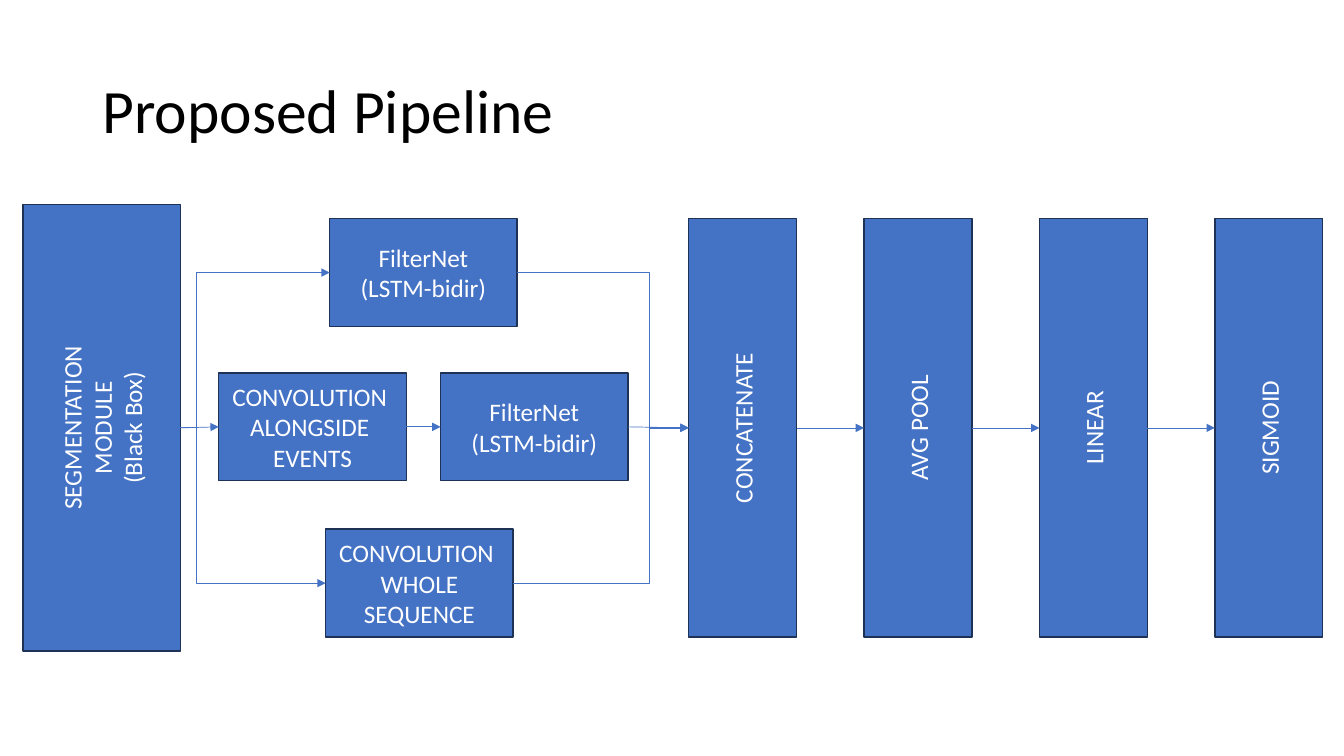
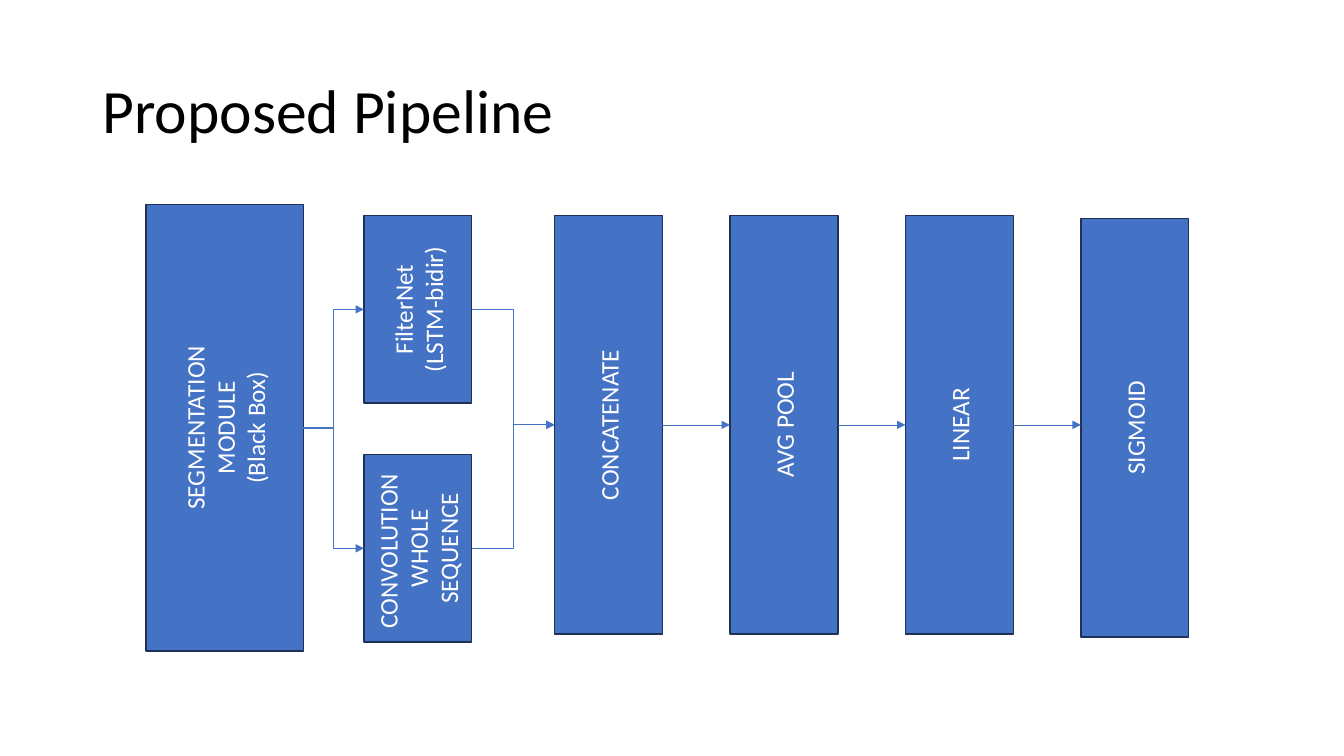
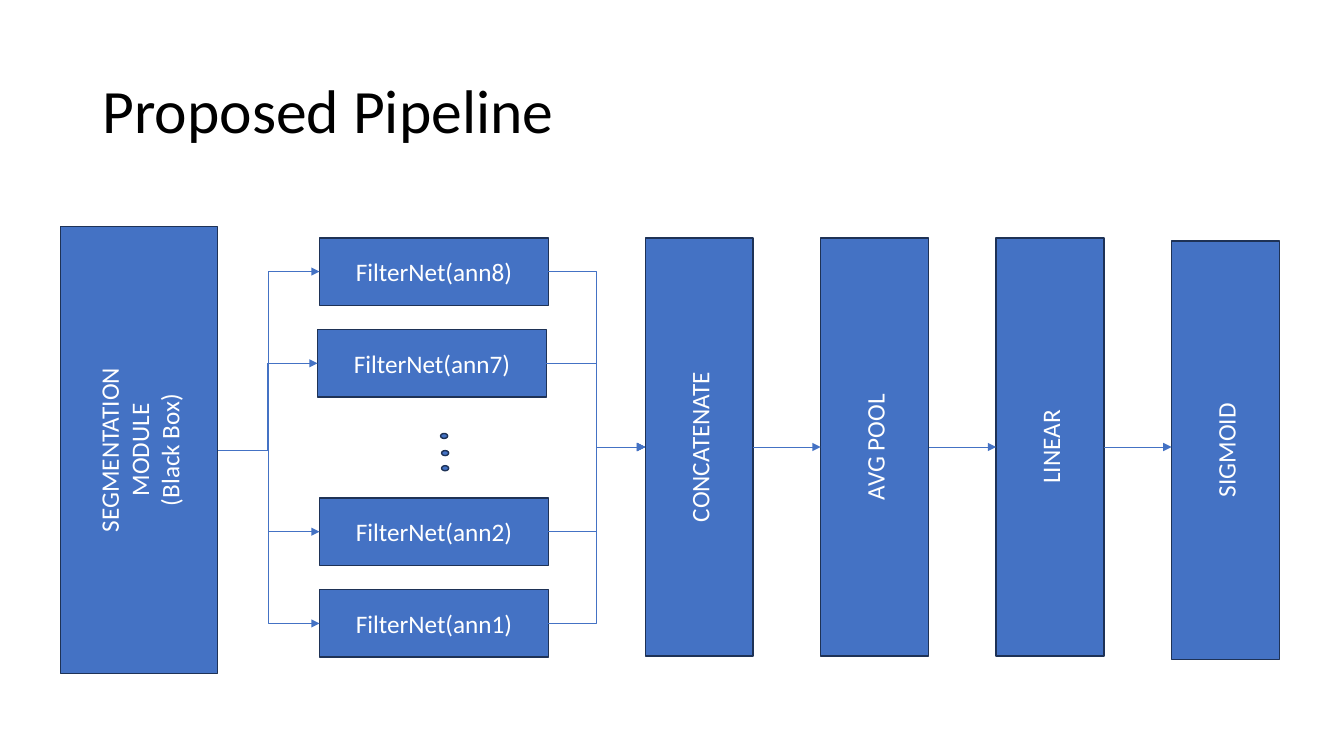
import pptx
import pptx.dml.color
import pptx.enum.shapes
import pptx.enum.text
import pptx.oxml
import pptx.oxml.ns
import pptx.util
from pptx.util import Inches

SHAPES = pptx.enum.shapes.MSO_SHAPE
CONNECTORS = pptx.enum.shapes.MSO_CONNECTOR
CENTER = pptx.enum.text.PP_ALIGN.CENTER
MIDDLE = pptx.enum.text.MSO_ANCHOR.MIDDLE

BLUE, NAVY, WHITE, BLACK = "4472C4", "1E3256", "FFFFFF", "000000"
TITLE_FONT = {"name": "Calibri", "size": pptx.util.Pt(44)}
BOX_FONT = {"name": "Calibri", "size": pptx.util.Pt(18)}
FRAME = {"word_wrap": True, "vertical_anchor": MIDDLE}

TITLE = "Proposed Pipeline"
TITLE_AREA = (0.92, 0.4, 11.5, 1.45)
SEGMENTATION = ["SEGMENTATION\nMODULE", "(Black Box)"]
FILTER_NET = ["FilterNet", "(LSTM-bidir)"]
WHOLE = ["CONVOLUTION ", "WHOLE SEQUENCE"]
ALONGSIDE = ["CONVOLUTION ", "ALONGSIDE ", "EVENTS"]
STAGES = ["CONCATENATE", "AVG POOL", "LINEAR", "SIGMOID"]

SEGMENTATION_SIZE = (1.56, 4.43)
STAGE_SIZE = (1.07, 4.15)
STAGE_PITCH = 1.74
RIGHT_SIDE, LEFT_SIDE = 3, 1
LEVEL_TOLERANCE = Inches(0.02)

# Each branch is a chain of (left, top, paragraphs) between the segmentation
# module and the stages; bends are the x of the elbows, None for halfway.
SLIDES = [
    {
        "segmentation": (0.23, 2.03),
        "stages": (6.83, 2.17),
        "sigmoid_drop": 0,
        "branch_size": (1.86, 1.07),
        "upright_branches": False,
        "bends": (1.95, 6.44),
        "branches": [
            [(3.27, 2.17, FILTER_NET)],
            [(2.17, 3.7, ALONGSIDE), (4.37, 3.7, FILTER_NET)],
            [(3.23, 5.25, WHOLE)],
        ],
        "dots": [],
    },
    {
        "segmentation": (1.45, 2.03),
        "stages": (5.5, 2.14),
        "sigmoid_drop": 0.03,
        "branch_size": (1.07, 1.86),
        "upright_branches": True,
        "bends": (None, None),
        "branches": [[(3.61, 2.14, FILTER_NET)], [(3.61, 4.51, WHOLE)]],
        "dots": [],
    },
    {
        "segmentation": (0.6, 2.25),
        "stages": (6.4, 2.36),
        "sigmoid_drop": 0.03,
        "branch_size": (2.27, 0.67),
        "upright_branches": False,
        "bends": (None, None),
        "branches": [
            [(3.17, 2.36, ["FilterNet(ann8)"])],
            [(3.15, 3.27, ["FilterNet(ann7)"])],
            [(3.17, 4.94, ["FilterNet(ann2)"])],
            [(3.17, 5.85, ["FilterNet(ann1)"])],
        ],
        "dots": [(4.37, 4.3), (4.38, 4.47), (4.38, 4.62)],
    },
]
DOT_SIZE = (0.07, 0.05)


def rgb(color):
    return pptx.dml.color.RGBColor.from_string(color)


def set_values(target, values):
    for name, value in values.items():
        setattr(target, name, value)


def write_paragraph(paragraph, text, font, color):
    paragraph.text = text
    set_values(paragraph.font, font)
    paragraph.font.color.rgb = rgb(color)


def add_title(slide):
    title = slide.shapes.add_textbox(*map(Inches, TITLE_AREA))
    set_values(title.text_frame, FRAME)
    paragraph = title.text_frame.paragraphs[0]
    write_paragraph(paragraph, TITLE, TITLE_FONT, BLACK)
    paragraph.line_spacing = 0.9


def add_solid(slide, kind, position, size):
    shape = slide.shapes.add_shape(kind, *map(Inches, (*position, *size)))
    shape.shadow.inherit = False
    shape.fill.solid()
    shape.fill.fore_color.rgb = rgb(BLUE)
    shape.line.color.rgb = rgb(NAVY)
    shape.line.width = pptx.util.Pt(1)
    return shape


def add_box(slide, position, size, lines, upright=True):
    """Add a labelled rectangle; upright text reads from bottom to top."""
    box = add_solid(slide, SHAPES.RECTANGLE, position, size)
    frame = box.text_frame
    set_values(frame, FRAME)
    if upright:
        box.element.txBody.bodyPr.set("vert", "vert270")
    for index, line in enumerate(lines):
        paragraph = frame.add_paragraph() if index else frame.paragraphs[0]
        write_paragraph(paragraph, line, BOX_FONT, WHITE)
        paragraph.alignment = CENTER
    return box


def add_arrow(slide, source, target, bend=None):
    """Join right side to left side, with an elbow when the levels differ."""
    start_x, start_y = source.left + source.width, source.top + source.height // 2
    end_x, end_y = target.left, target.top + target.height // 2
    offset = abs(end_y - start_y)
    elbow = offset > Inches(0.1)
    joined = elbow or offset < LEVEL_TOLERANCE
    arrow = slide.shapes.add_connector(
        CONNECTORS.ELBOW if elbow else CONNECTORS.STRAIGHT,
        start_x, start_y, end_x, end_y if joined else start_y)
    arrow.begin_connect(source, RIGHT_SIDE)
    if joined:
        arrow.end_connect(target, LEFT_SIDE)
    if elbow and bend:
        share = (Inches(bend) - start_x) / (end_x - start_x)
        arrow.element.spPr.prstGeom.rewrite_guides([("adj1", round(share * 100000))])
    arrow.line.color.rgb = rgb(BLUE)
    arrow.line.width = pptx.util.Pt(0.5)
    line = arrow.line._get_or_add_ln()
    line.append(pptx.oxml.parse_xml(
        f'<a:tailEnd {pptx.oxml.ns.nsdecls("a")} type="triangle"/>'))
    arrow.element.spPr.append(pptx.oxml.parse_xml(
        f'<a:effectLst {pptx.oxml.ns.nsdecls("a")}/>'))


def add_pipeline(slide, content):
    segmentation = add_box(
        slide, content["segmentation"], SEGMENTATION_SIZE, SEGMENTATION)

    left, top = content["stages"]
    stages = []
    for index, label in enumerate(STAGES):
        drop = content["sigmoid_drop"] if label == "SIGMOID" else 0
        position = (left + index * STAGE_PITCH, top + drop)
        stages.append(add_box(slide, position, STAGE_SIZE, [label]))
    for source, target in zip(stages, stages[1:]):
        add_arrow(slide, source, target)

    split_x, merge_x = content["bends"]
    for branch in content["branches"]:
        boxes = [
            add_box(slide, (x, y), content["branch_size"], lines,
                    content["upright_branches"])
            for x, y, lines in branch
        ]
        add_arrow(slide, segmentation, boxes[0], split_x)
        for source, target in zip(boxes, boxes[1:]):
            add_arrow(slide, source, target)
        add_arrow(slide, boxes[-1], stages[0], merge_x)

    for position in content["dots"]:
        add_solid(slide, SHAPES.OVAL, position, DOT_SIZE)


def main():
    presentation = pptx.Presentation()
    presentation.slide_width = Inches(13.33)
    presentation.slide_height = Inches(7.5)
    blank_layout = presentation.slide_layouts[6]
    for content in SLIDES:
        slide = presentation.slides.add_slide(blank_layout)
        add_title(slide)
        add_pipeline(slide, content)
    presentation.save("out.pptx")


if __name__ == "__main__":
    main()
